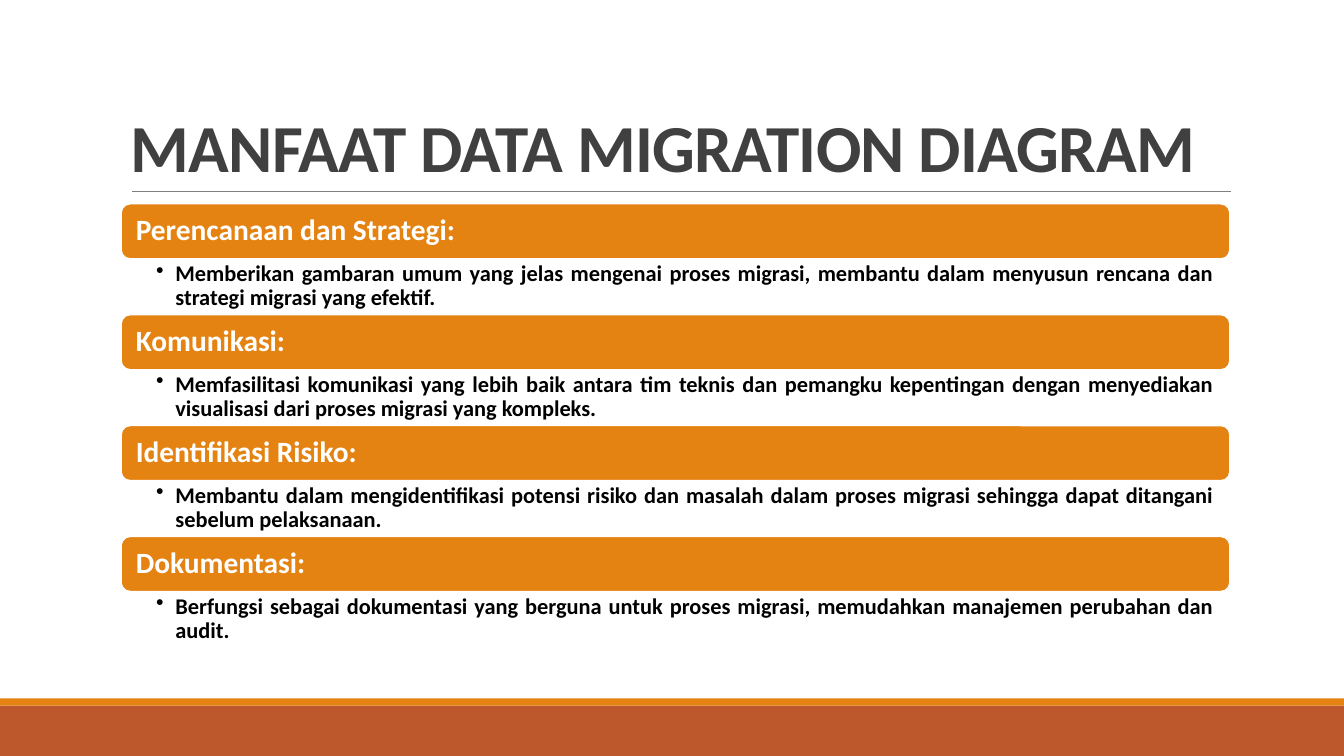
from lxml.etree import SubElement
from pptx import Presentation
from pptx.dml.color import RGBColor
from pptx.enum.shapes import MSO_CONNECTOR, MSO_SHAPE
from pptx.enum.text import MSO_ANCHOR, PP_ALIGN
from pptx.oxml.ns import qn
from pptx.util import Inches, Pt

TITLE = "MANFAAT DATA MIGRATION DIAGRAM"
BENEFITS = [
    ("Perencanaan dan Strategi:",
     "Memberikan gambaran umum yang jelas mengenai proses migrasi, membantu dalam "
     "menyusun rencana dan strategi migrasi yang efektif."),
    ("Komunikasi:",
     "Memfasilitasi komunikasi yang lebih baik antara tim teknis dan pemangku kepentingan "
     "dengan menyediakan visualisasi dari proses migrasi yang kompleks."),
    ("Identifikasi Risiko:",
     "Membantu dalam mengidentifikasi potensi risiko dan masalah dalam proses migrasi "
     "sehingga dapat ditangani sebelum pelaksanaan."),
    ("Dokumentasi:",
     "Berfungsi sebagai dokumentasi yang berguna untuk proses migrasi, memudahkan "
     "manajemen perubahan dan audit."),
]
COLORS = {"orange": "E48312", "rust": "BD582C", "rule": "808080",
          "title": "404040", "white": "FFFFFF", "black": "000000"}
FONT = "Calibri"
SLIDE_W, SLIDE_H = 13.33, 7.5
LEFT, WIDTH = 1.2, 11
TOP, ROW_H = 2.02, 0.55


def color(name):
    return RGBColor.from_string(COLORS[name])


def add_box(s, kind, at, fill):
    sp = s.shapes.add_shape(kind, *map(Inches, at))
    sp.shadow.inherit = False
    sp.fill.solid()
    sp.fill.fore_color.rgb = color(fill)
    sp.line.fill.background()
    return sp


def write(sp, text, size, ink, anchor, align, spacing, insets):
    tf = sp.text_frame
    tf.word_wrap = True
    tf.vertical_anchor = anchor
    tf.margin_left, tf.margin_top, tf.margin_right, tf.margin_bottom = map(Inches, insets)
    p = tf.paragraphs[0]
    p.text = text
    p.alignment = align
    p.line_spacing = spacing
    font = p.runs[0].font
    font.name, font.size, font.bold = FONT, Pt(size), True
    font.color.rgb = color(ink)
    return p


def add_bullet(p):
    pPr = p._p.get_or_add_pPr()
    pPr.set("marL", str(Inches(0.19)))
    pPr.set("indent", str(-Inches(0.19)))
    SubElement(pPr, qn("a:buChar")).set("char", "•")


def add_frame(s):
    add_box(s, MSO_SHAPE.RECTANGLE, (0, 7, SLIDE_W, 0.5), "rust")
    add_box(s, MSO_SHAPE.RECTANGLE, (0, 6.93, SLIDE_W, 0.07), "orange")
    rule = s.shapes.add_connector(MSO_CONNECTOR.STRAIGHT, *map(Inches, (1.31, 1.9, 12.21, 1.9)))
    rule.line.color.rgb = color("rule")
    rule.line.width = Pt(0.5)
    SubElement(rule._element.spPr, qn("a:effectLst"))
    title = s.shapes.add_textbox(*map(Inches, (LEFT, 0.31, WIDTH, 1.59)))
    p = write(title, TITLE, 48, "title", MSO_ANCHOR.BOTTOM, PP_ALIGN.LEFT, 0.85,
              (0.1, 0.05, 0.1, 0.05))
    p.runs[0].font._element.set("spc", "-50")


def add_benefit(s, top, heading, detail):
    bar = add_box(s, MSO_SHAPE.ROUNDED_RECTANGLE, (LEFT, top, WIDTH, ROW_H), "orange")
    bar.line.color.rgb = color("white")
    bar.line.width = Pt(1.25)
    write(bar, heading, 21, "white", MSO_ANCHOR.MIDDLE, PP_ALIGN.JUSTIFY, 0.9,
          (0.12, 0.09, 0.12, 0.09))
    note = s.shapes.add_textbox(*map(Inches, (LEFT, top + ROW_H, WIDTH, ROW_H)))
    p = write(note, detail, 16, "black", MSO_ANCHOR.TOP, PP_ALIGN.JUSTIFY, 0.9,
              (0.35, 0.03, 0.16, 0.03))
    add_bullet(p)


def main():
    prs = Presentation()
    prs.slide_width, prs.slide_height = Inches(SLIDE_W), Inches(SLIDE_H)
    s = prs.slides.add_slide(prs.slide_layouts[6])
    add_frame(s)
    for i, (heading, detail) in enumerate(BENEFITS):
        add_benefit(s, TOP + 2 * ROW_H * i, heading, detail)
    prs.save("out.pptx")


if __name__ == "__main__":
    main()
